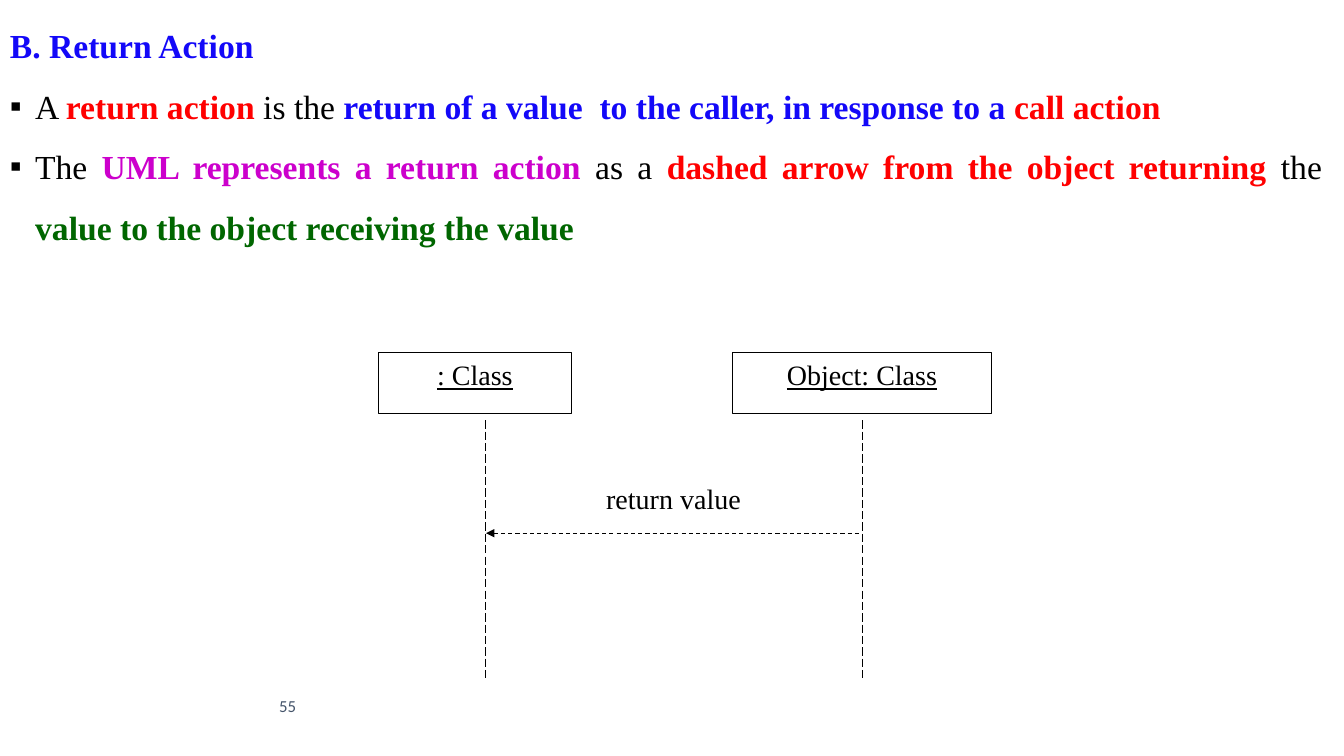
from lxml.etree import SubElement
from pptx import Presentation
from pptx.dml.color import RGBColor
from pptx.enum.dml import MSO_LINE
from pptx.enum.shapes import MSO_CONNECTOR, MSO_SHAPE
from pptx.enum.text import MSO_ANCHOR, PP_ALIGN
from pptx.oxml.ns import qn
from pptx.util import Inches, Pt

COLORS = {
    "black": "000000",
    "blue": "1308F8",
    "red": "FF0000",
    "purple": "CC00CC",
    "green": "006600",
    "slate": "44546A",
}

HEADING = [("B. Return Action", "blue")]
BULLETS = [
    [
        ("A ", "black"),
        ("return action ", "red"),
        ("is the ", "black"),
        ("return of a value  to the caller, in response to a ", "blue"),
        ("call action", "red"),
    ],
    [
        ("The ", "black"),
        ("UML represents a return action", "purple"),
        (" as a ", "black"),
        ("dashed arrow from the object returning", "red"),
        (" the ", "black"),
        ("value to the object receiving the value", "green"),
    ],
]


class SlideBuilder:
    serif = "Times New Roman"
    line_width = Pt(0.75)

    def __init__(self, page):
        self.page = page

    def color(self, name):
        return RGBColor.from_string(COLORS[name])

    def style(self, span, size, color="black", font=None, bold=False, underline=False):
        span.font.name = font or self.serif
        span.font.size = Pt(size)
        span.font.color.rgb = self.color(color)
        span.font.bold = bold
        span.font.underline = underline

    def text_box(self, left, top, width, height):
        box = self.page.shapes.add_textbox(
            Inches(left), Inches(top), Inches(width), Inches(height)
        )
        box.text_frame.word_wrap = True
        return box.text_frame

    def body(self, heading, bullets):
        frame = self.text_box(0, 0, 13.21, 2.92)
        for index, spans in enumerate([heading, *bullets]):
            para = frame.add_paragraph() if index else frame.paragraphs[0]
            para.alignment = PP_ALIGN.JUSTIFY
            para.line_spacing = 1.5
            properties = para._p.get_or_add_pPr()
            properties.set("marL", str(Inches(0.25)))
            properties.set("indent", str(-Inches(0.25)))
            if index:
                SubElement(properties, qn("a:buFont"), typeface=self.serif)
                SubElement(properties, qn("a:buChar"), char="▪")
            else:
                SubElement(properties, qn("a:buNone"))
            for text, color in spans:
                span = para.add_run()
                span.text = text
                self.style(span, 24, color, bold=color != "black")

    def label(self, text, left, top, width, height, size, **options):
        frame = self.text_box(left, top, width, height)
        frame.text = text
        self.style(frame.paragraphs[0].runs[0], size, **options)
        return frame

    def object_box(self, text, left, width):
        box = self.page.shapes.add_shape(
            MSO_SHAPE.RECTANGLE, Inches(left), Inches(3.5), Inches(width), Inches(0.6)
        )
        box.shadow.inherit = False
        box.fill.background()
        box.line.color.rgb = self.color("black")
        box.line.width = self.line_width
        frame = box.text_frame
        frame.text = text
        frame.vertical_anchor = MSO_ANCHOR.TOP
        para = frame.paragraphs[0]
        para.alignment = PP_ALIGN.CENTER
        self.style(para.runs[0], 20, underline=True)

    def dashed_line(self, start, end, dash, arrow=False):
        line = self.page.shapes.add_connector(
            MSO_CONNECTOR.STRAIGHT, *map(Inches, (*start, *end))
        )
        line.line.color.rgb = self.color("black")
        line.line.width = self.line_width
        line.line.dash_style = dash
        if arrow:
            SubElement(line.line._get_or_add_ln(), qn("a:headEnd"), type="triangle")
        SubElement(line._element.spPr, qn("a:effectLst"))


def main():
    deck = Presentation()
    deck.slide_width = Inches(13.33)
    deck.slide_height = Inches(7.5)
    builder = SlideBuilder(deck.slides.add_slide(deck.slide_layouts[6]))

    builder.body(HEADING, BULLETS)
    number = builder.label(
        "55", 2.67, 6.75, 4.33, 0.5, 12, color="slate", font="Calibri"
    )
    number.vertical_anchor = MSO_ANCHOR.MIDDLE

    receiver, sender = 4.82, 8.55
    builder.object_box(": Class", 3.75, 1.92)
    builder.object_box("Object: Class", 7.27, 2.56)
    for lifeline in (receiver, sender):
        builder.dashed_line((lifeline, 4.17), (lifeline, 6.75), MSO_LINE.LONG_DASH)
    builder.dashed_line((receiver, 5.29), (sender, 5.29), MSO_LINE.DASH, arrow=True)
    message = builder.label("return value", 5.24, 4.73, 2.88, 0.58, 20)
    message.paragraphs[0].alignment = PP_ALIGN.CENTER

    deck.save("out.pptx")


if __name__ == "__main__":
    main()
